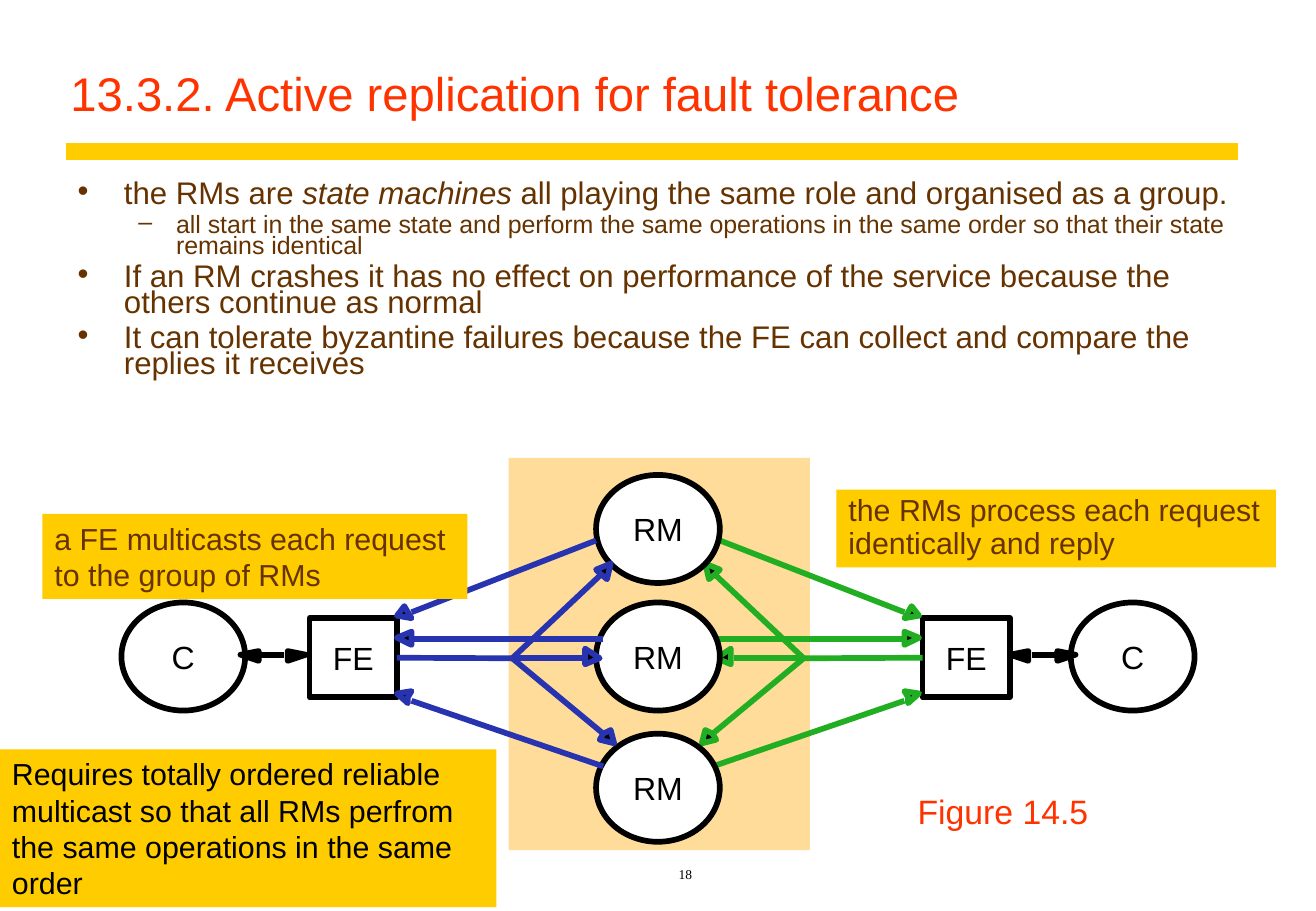
from dataclasses import dataclass

import lxml.etree
import pptx
import pptx.dml.color
import pptx.enum.shapes
import pptx.enum.text
import pptx.oxml.ns
import pptx.util

Pt = pptx.util.Pt
RGB = pptx.dml.color.RGBColor
SHAPE = pptx.enum.shapes.MSO_SHAPE
ALIGN = pptx.enum.text.PP_ALIGN
ANCHOR = pptx.enum.text.MSO_ANCHOR
qn = pptx.oxml.ns.qn
Point = tuple[float, float]

BLACK = RGB(0x00, 0x00, 0x00)
WHITE = RGB(0xFF, 0xFF, 0xFF)
RED = RGB(0xFF, 0x33, 0x00)
BROWN = RGB(0x66, 0x33, 0x00)
YELLOW = RGB(0xFF, 0xCC, 0x00)
PEACH = RGB(0xFF, 0xDC, 0x99)
GREEN = RGB(0x22, 0xAE, 0x22)
BLUE = RGB(0x28, 0x33, 0xB0)

SLIDE_W, SLIDE_H = 780.48, 540
STROKE = 3.37
NODE_W, NODE_H = 73.4, 64.1
HUB = (303.8, 390.2)


@dataclass
class Arrow:
    start: Point
    end: Point
    heads: list[list[Point]]


@dataclass
class Side:
    mirrored: bool
    color: RGB
    fe_left: float


@dataclass
class Callout:
    text: str
    box: tuple[float, float, float, float]
    color: RGB
    spacing: float = 1.0


@dataclass
class Bullet:
    runs: list[str]
    level: int = 0
    before: float = 5


# Arrows of the left half; the right half mirrors them about the slide's middle.
CLIENT_LINK = Arrow((168.5, 388.1), (153.4, 388.1), [
    [(170.6, 388.1), (170.6, 385.9), (181.4, 388.1), (170.6, 391.7)],
    [(153.4, 388.1), (153.4, 391.7), (142.6, 388.1), (153.4, 385.9)]])
REPLIES = [
    Arrow((353.5, 320.4), (244.1, 362.9),
          [[(241.9, 362.9), (244.1, 366.5), (235.4, 365), (239.8, 359.3)]]),
    Arrow((357.8, 454.3), (244.1, 415.4),
          [[(241.9, 413.3), (241.9, 416.9), (235.4, 411.1), (244.1, 409.7)]]),
    Arrow((357.8, 378.7), (244.1, 378.7),
          [[(244.1, 378), (244.1, 382.3), (235.4, 378), (244.1, 374.4)]])]
MULTICASTS = [
    Arrow(HUB, (355.7, 341.3),
          [[(355.7, 339.8), (353.5, 337.7), (362.2, 334.1), (360, 343.4)]]),
    Arrow(HUB, (344.9, 390.2),
          [[(347, 390.2), (347, 384.5), (355.7, 390.2), (347, 393.8)]]),
    Arrow(HUB, (357.8, 434.9),
          [[(357.8, 434.9), (362.2, 432.7), (364.3, 440.6), (355.7, 438.5)]])]

LEFT = Side(False, BLUE, 183.6)
RIGHT = Side(True, GREEN, 547.2)
RM_TOPS = [281.5, 357.1, 434.9]

BULLETS = [
    Bullet(["the RMs are ", "state machines",
            " all playing the same role and organised as a group."], before=0),
    Bullet(["all start in the same state and perform the same operations in the "
            "same order so that their state remains identical"], 1, 4),
    Bullet(["If an RM crashes it has no effect on performance of the service "
            "because the others continue as normal"]),
    Bullet(["It can tolerate byzantine failures because the FE can collect and "
            "compare the replies it receives"])]
# Per level: bullet sign, left margin, hanging indent, text size
LEVELS = [("•", 27.4, 27.4, 18.5), ("–", 58.3, 22.3, 14.8)]

CALLOUTS = [
    Callout("a FE multicasts each request to the group of RMs",
            (25.2, 304.6, 252, 50.4), BROWN),
    Callout("the RMs process each request identically and reply",
            (496.1, 290.2, 260.6, 46.1), BROWN, 0.9),
    Callout("Requires totally ordered reliable multicast so that all RMs perfrom "
            "the same operations in the same order", (0, 444.2, 294.5, 93.6), BLACK)]


def style(p, size: float, color: RGB, name: str = "Arial") -> None:
    for r in p.runs:
        r.font.size = Pt(size)
        r.font.name = name
        r.font.color.rgb = color


def add_line(s, start: Point, end: Point, color: RGB, width: float = STROKE):
    line = s.shapes.add_connector(pptx.enum.shapes.MSO_CONNECTOR.STRAIGHT,
                                  *(Pt(v) for v in (*start, *end)))
    line.line.color.rgb = color
    line.line.width = Pt(width)
    lxml.etree.SubElement(line._element.spPr, qn("a:effectLst"))
    return line


def add_block(s, kind, box: tuple, fill: RGB | None, outline: RGB | None = None):
    sp = s.shapes.add_shape(kind, *(Pt(v) for v in box))
    sp.shadow.inherit = False
    paint(sp, fill, outline)
    return sp


def paint(sp, fill: RGB | None, outline: RGB | None) -> None:
    if fill is None:
        sp.fill.background()
    else:
        sp.fill.solid()
        sp.fill.fore_color.rgb = fill
    if outline is None:
        sp.line.fill.background()
    else:
        sp.line.color.rgb = outline
        sp.line.width = Pt(STROKE)


def add_node(s, kind, label: str, box: tuple, fill: RGB | None = None):
    sp = add_block(s, kind, box, fill, BLACK)
    tf = sp.text_frame
    tf.word_wrap = False
    tf.margin_left = tf.margin_right = tf.margin_top = tf.margin_bottom = 0
    tf.vertical_anchor = ANCHOR.MIDDLE
    tf.text = label
    tf.paragraphs[0].alignment = ALIGN.CENTER
    style(tf.paragraphs[0], 19, BLACK)
    return sp


def add_text(s, text: str, box: tuple, size: float, color: RGB, name: str = "Arial"):
    tf = s.shapes.add_textbox(*(Pt(v) for v in box)).text_frame
    tf.word_wrap = True
    tf.text = text
    style(tf.paragraphs[0], size, color, name)
    return tf


def place(point: Point, mirrored: bool) -> Point:
    return (SLIDE_W - point[0], point[1]) if mirrored else point


def add_arrow(s, arrow: Arrow, mirrored: bool, color: RGB) -> None:
    for head in arrow.heads:
        first, *rest = [tuple(Pt(v) for v in place(pt, mirrored)) for pt in head]
        builder = s.shapes.build_freeform(*first)
        builder.add_line_segments(rest, close=True)
        sp = builder.convert_to_shape()
        sp.shadow.inherit = False
        paint(sp, BLACK, color)
    add_line(s, place(arrow.start, mirrored), place(arrow.end, mirrored), color)


def add_side(s, side: Side) -> None:
    """Draw one client, its front end and the arrows to and from the RMs."""
    client_left = SLIDE_W - 72 - NODE_W if side.mirrored else 72
    add_node(s, SHAPE.OVAL, "C", (client_left, 357.1, NODE_W, NODE_H))
    fe = add_node(s, SHAPE.RECTANGLE, "FE", (side.fe_left, 366.5, 51.8, 46.8))
    add_arrow(s, CLIENT_LINK, side.mirrored, BLACK)
    hub = place(HUB, side.mirrored)
    stem = add_line(s, hub, hub, side.color)
    stem.end_connect(fe, 1 if side.mirrored else 3)
    for arrow in REPLIES + MULTICASTS:
        add_arrow(s, arrow, side.mirrored, side.color)


def move(sp, left: float, top: float, width: float, height: float) -> None:
    sp.left, sp.top, sp.width, sp.height = Pt(left), Pt(top), Pt(width), Pt(height)
    sp.text_frame.auto_size = pptx.enum.text.MSO_AUTO_SIZE.NONE


def fill_title(sp) -> None:
    move(sp, 34.6, 18, 699.8, 57.6)
    tf = sp.text_frame
    tf.vertical_anchor = ANCHOR.BOTTOM
    tf.text = "13.3.2. Active replication for fault tolerance"
    p = tf.paragraphs[0]
    p.alignment, p.line_spacing = ALIGN.LEFT, 0.9
    style(p, 28, RED)


def fill_body(sp) -> None:
    move(sp, 38.9, 105.1, 697.7, 146.2)
    tf = sp.text_frame
    tf.text = "\n".join("".join(b.runs) for b in BULLETS)
    for p, bullet in zip(tf.paragraphs, BULLETS):
        sign, margin, hang, size = LEVELS[bullet.level]
        p.level, p.line_spacing, p.space_before = bullet.level, 0.7, Pt(bullet.before)
        pPr = p._p.get_or_add_pPr()
        pPr.set("marL", str(Pt(margin)))
        pPr.set("indent", str(-Pt(hang)))
        clr = lxml.etree.SubElement(pPr, qn("a:buClr"))
        lxml.etree.SubElement(clr, qn("a:srgbClr"), val=str(BROWN))
        lxml.etree.SubElement(pPr, qn("a:buChar"), char=sign)
        p.runs[0].text = bullet.runs[0]
        for i, text in enumerate(bullet.runs[1:], 1):
            r = p.add_run()
            r.text = text
            r.font.italic = i == 1
        style(p, size, BROWN)


def add_callout(s, callout: Callout) -> None:
    tf = add_block(s, SHAPE.RECTANGLE, callout.box, YELLOW).text_frame
    tf.word_wrap = True
    tf.vertical_anchor = ANCHOR.TOP
    tf.text = callout.text
    p = tf.paragraphs[0]
    p.alignment, p.line_spacing = ALIGN.LEFT, callout.spacing
    style(p, 18, callout.color)


def main() -> None:
    prs = pptx.Presentation()
    prs.slide_width, prs.slide_height = Pt(SLIDE_W), Pt(SLIDE_H)
    s = prs.slides.add_slide(prs.slide_layouts[1])
    fill_title(s.shapes.title)
    fill_body(s.placeholders[1])
    add_line(s, (38.9, 90), (734.4, 90), YELLOW, 10)
    number = add_text(s, "18", (169.2, 504, 474.5, 22.3), 8, BLACK, "Times New Roman")
    number.vertical_anchor = ANCHOR.BOTTOM
    number.paragraphs[0].alignment = ALIGN.CENTER

    add_block(s, SHAPE.RECTANGLE, (301.7, 271.4, 178.6, 232.6), PEACH)
    add_side(s, RIGHT)
    for top in RM_TOPS:
        add_node(s, SHAPE.OVAL, "RM", (353.5, top, NODE_W, NODE_H), WHITE)
    add_side(s, LEFT)
    add_text(s, "Figure 14.5", (537.1, 465.1, 125, 31.7), 20, RED)
    for callout in CALLOUTS:
        add_callout(s, callout)
    prs.save("out.pptx")


if __name__ == "__main__":
    main()
